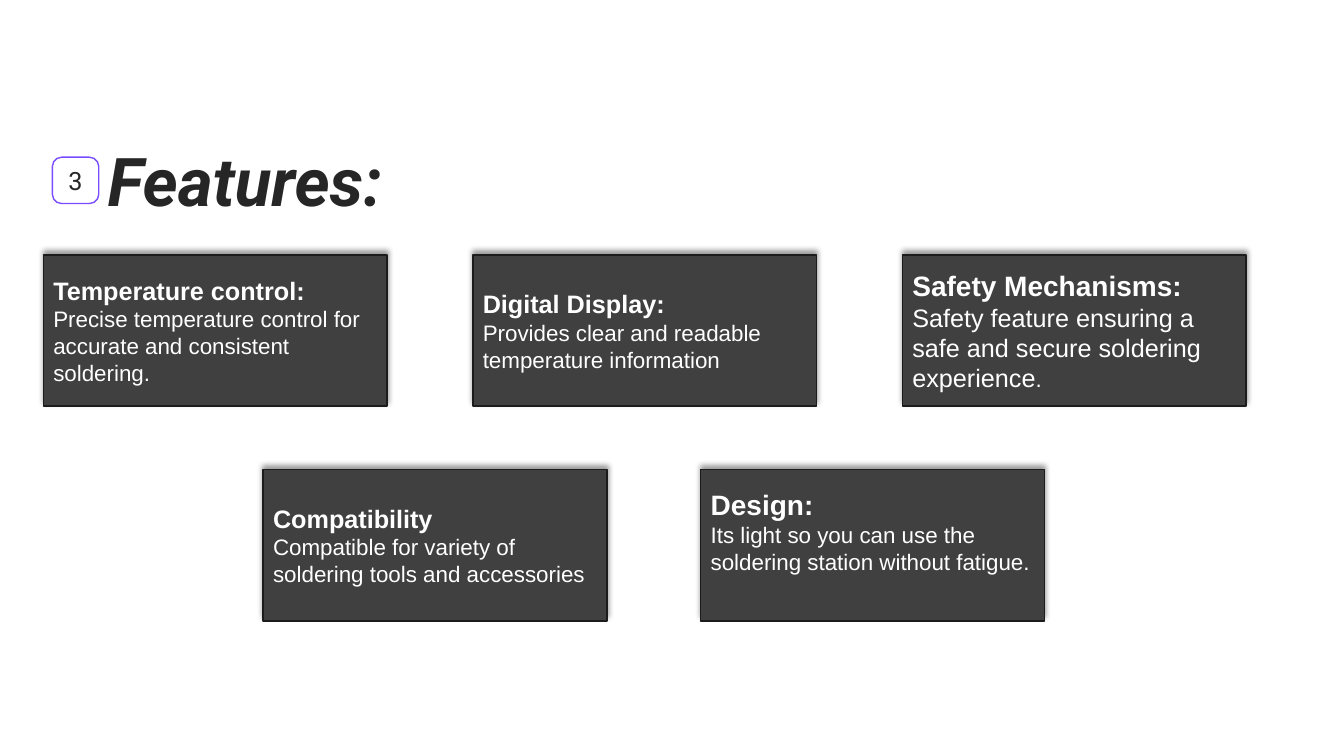
from lxml.etree import SubElement
from pptx import Presentation
from pptx.dml.color import RGBColor as Color
from pptx.enum.shapes import MSO_SHAPE as Shape
from pptx.enum.text import MSO_ANCHOR as Anchor, PP_ALIGN as Align
from pptx.oxml.ns import qn
from pptx.util import Pt

PX = 9144
THEME = {
    "ink": "262626", "card": "404040", "edge": "1C1C1C", "white": "FFFFFF",
    "accent": "794DFF", "shadow": "000000",
    "heading_font": "Roboto", "body_font": "Arial",
    "title": 48, "large": 20, "medium": 18, "small": 16,
}


def add_box(page, kind, bounds, fill, line):
    box = page.shapes.add_shape(kind, *(PX * value for value in bounds))
    box.shadow.inherit = False
    box.fill.solid()
    box.fill.fore_color.rgb = Color.from_string(THEME[fill])
    box.line.color.rgb = Color.from_string(THEME[line])
    box.line.width = Pt(1)
    box.text_frame.word_wrap = True
    box.text_frame.vertical_anchor = Anchor.MIDDLE
    return box


def add_span(para, text, size, font, color, **styles):
    span = para.add_run()
    span.text = text
    formats = {"size": Pt(THEME[size]), "name": THEME[font], **styles}
    for name, value in formats.items():
        setattr(span.font, name, value)
    span.font.color.rgb = Color.from_string(THEME[color])


deck = Presentation()
deck.slide_width, deck.slide_height = 1333 * PX, 750 * PX
page = deck.slides.add_slide(deck.slide_layouts[6])

title = page.shapes.add_textbox(97 * PX, 21 * PX, 614 * PX, 315 * PX)
title.text_frame.word_wrap = True
title.text_frame.vertical_anchor = Anchor.MIDDLE
para = title.text_frame.paragraphs[0]
para.space_after = Pt(6)
add_span(para, "Features:", "title", "heading_font", "ink", bold=True, italic=True)

CARD_WIDTH, CARD_HEIGHT = 341, 150
rows = [
    (43, 426, 253, [
        ("Temperature control:", "medium", 5,
         [("Precise temperature control for accurate and consistent soldering.", "small")]),
        ("Digital Display:", "medium", 5,
         [("Provides clear and readable temperature information", "small")]),
        ("Safety Mechanisms:", "large", 5,
         [("Safety feature ensuring a safe and secure soldering experience", "medium"),
          (".", "small")]),
    ]),
    (261, 434, 466, [
        ("Compatibility", "medium", 5,
         [("Compatible for variety of soldering tools and accessories", "small")]),
        ("Design:", "large", 32,
         [("Its light so you can use the soldering station without fatigue.", "small")]),
    ]),
]
for left, step, top, cards in rows:
    for column, (heading, heading_size, bottom_inset, details) in enumerate(cards):
        bounds = (left + column * step, top, CARD_WIDTH, CARD_HEIGHT)
        card = add_box(page, Shape.RECTANGLE, bounds, "card", "edge")
        effects = card._element.spPr.find(qn("a:effectLst"))
        shadow = SubElement(effects, qn("a:outerShdw"), blurRad=str(Pt(4)),
                            dist=str(Pt(3)), dir="16200000", rotWithShape="0")
        tint = SubElement(shadow, qn("a:srgbClr"), val=THEME["shadow"])
        SubElement(tint, qn("a:alpha"), val="40000")

        frame = card.text_frame
        frame.margin_bottom = bottom_inset * PX
        head, body = frame.paragraphs[0], frame.add_paragraph()
        head.alignment = body.alignment = Align.LEFT
        add_span(head, heading, heading_size, "body_font", "white", bold=True)
        for text, size in details:
            add_span(body, text, size, "body_font", "white")

badge = add_box(page, Shape.ROUNDED_RECTANGLE, (52, 156, 46, 46), "white", "accent")
badge.adjustments[0] = 0.2
para = badge.text_frame.paragraphs[0]
para.alignment = Align.CENTER
add_span(para, "3", "medium", "heading_font", "ink")

deck.save("out.pptx")
